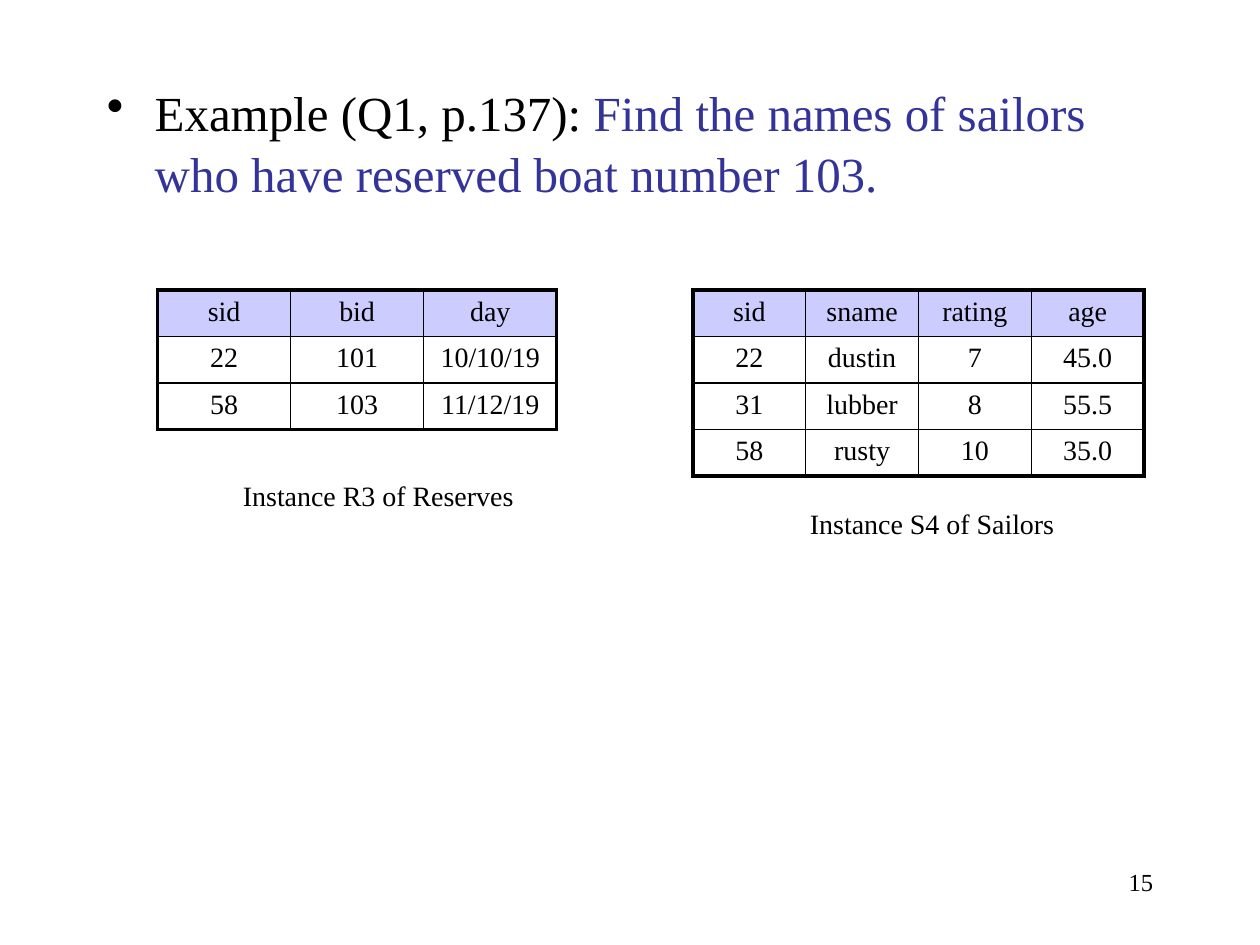
from dataclasses import dataclass

from lxml import etree
from pptx import Presentation
from pptx.dml.color import RGBColor
from pptx.enum.text import MSO_AUTO_SIZE, PP_ALIGN as Align
from pptx.oxml.ns import qn
from pptx.util import Inches, Pt

FONT = "Times New Roman"
BLACK, NAVY, LAVENDER = "000000", "333399", "CCCCFF"
ROW_HEIGHT = 0.37
OUTER_LINE, INNER_LINE = 2.25, 1


@dataclass
class Relation:
    left: float
    top: float
    width: float
    rows: list[list[str]]


@dataclass
class Caption:
    text: str
    left: float
    top: float
    width: float


RELATIONS = [
    Relation(1.25, 2.3, 3.17, [
        ["sid", "bid", "day"],
        ["22", "101", "10/10/19"],
        ["58", "103", "11/12/19"],
    ]),
    Relation(5.5, 2.3, 3.58, [
        ["sid", "sname", "rating", "age"],
        ["22", "dustin", "7", "45.0"],
        ["31", "lubber", "8", "55.5"],
        ["58", "rusty", "10", "35.0"],
    ]),
]
CAPTIONS = [
    Caption("Instance R3 of Reserves", 1.83, 3.75, 2.36),
    Caption("Instance S4 of Sailors", 6.33, 3.97, 2.15),
]


def rgb(color: str) -> RGBColor:
    return RGBColor.from_string(color)


def add_span(para, text: str, *, size: float, color: str = BLACK) -> None:
    span = para.add_run()
    span.text = text
    span.font.name = FONT
    span.font.size = Pt(size)
    span.font.color.rgb = rgb(color)


def add_box(page, left: float, top: float, width: float, height: float, *, wrap: bool = True):
    """Add an empty text box and return its frame."""
    box = page.shapes.add_textbox(Inches(left), Inches(top), Inches(width), Inches(height))
    box.text_frame.word_wrap = wrap
    return box.text_frame


def add_bullet(para, indent: float) -> None:
    props = para._p.get_or_add_pPr()
    props.set("marL", str(Inches(indent)))
    props.set("indent", str(-Inches(indent)))
    etree.SubElement(props, qn("a:buChar"), char="•")


def set_border(cell, side: str, width: float) -> None:
    """Draw one side of a cell: L, R, T or B."""
    line = etree.SubElement(cell._tc.get_or_add_tcPr(), qn(f"a:ln{side}"), w=str(Pt(width)))
    fill = etree.SubElement(line, qn("a:solidFill"))
    etree.SubElement(fill, qn("a:srgbClr"), val=BLACK)


def add_relation(page, relation: Relation) -> None:
    row_count, column_count = len(relation.rows), len(relation.rows[0])
    table = page.shapes.add_table(
        row_count, column_count, Inches(relation.left), Inches(relation.top),
        Inches(relation.width), Inches(ROW_HEIGHT * row_count)).table
    table.horz_banding = False
    for r, values in enumerate(relation.rows):
        for c, value in enumerate(values):
            cell = table.cell(r, c)
            para = cell.text_frame.paragraphs[0]
            para.alignment = Align.CENTER
            add_span(para, value, size=16)
            on_edge = {"L": c == 0, "R": c == column_count - 1,
                       "T": r == 0, "B": r == row_count - 1}
            for side, outer in on_edge.items():
                set_border(cell, side, OUTER_LINE if outer else INNER_LINE)
            if r == 0:
                cell.fill.solid()
                cell.fill.fore_color.rgb = rgb(LAVENDER)
            else:
                cell.fill.background()


def add_caption(page, caption: Caption) -> None:
    frame = add_box(page, caption.left, caption.top, caption.width, 0.37, wrap=False)
    frame.auto_size = MSO_AUTO_SIZE.SHAPE_TO_FIT_TEXT
    add_span(frame.paragraphs[0], caption.text, size=16)


def main() -> None:
    deck = Presentation()
    deck.slide_width, deck.slide_height = Inches(10), Inches(7.5)
    page = deck.slides.add_slide(deck.slide_layouts[6])

    number = add_box(page, 7.17, 6.83, 2.08, 0.5).paragraphs[0]
    number.alignment = Align.RIGHT
    add_span(number, "15", size=14)

    question = add_box(page, 0.75, 0.58, 8.5, 6.08).paragraphs[0]
    add_bullet(question, 0.38)
    question.line_spacing = 1.05
    add_span(question, "Example (Q1, p.137): ", size=28)
    add_span(question, "Find the names of sailors who have reserved boat number 103.",
             size=28, color=NAVY)

    for relation in RELATIONS:
        add_relation(page, relation)
    for caption in CAPTIONS:
        add_caption(page, caption)
    deck.save("out.pptx")


if __name__ == "__main__":
    main()
